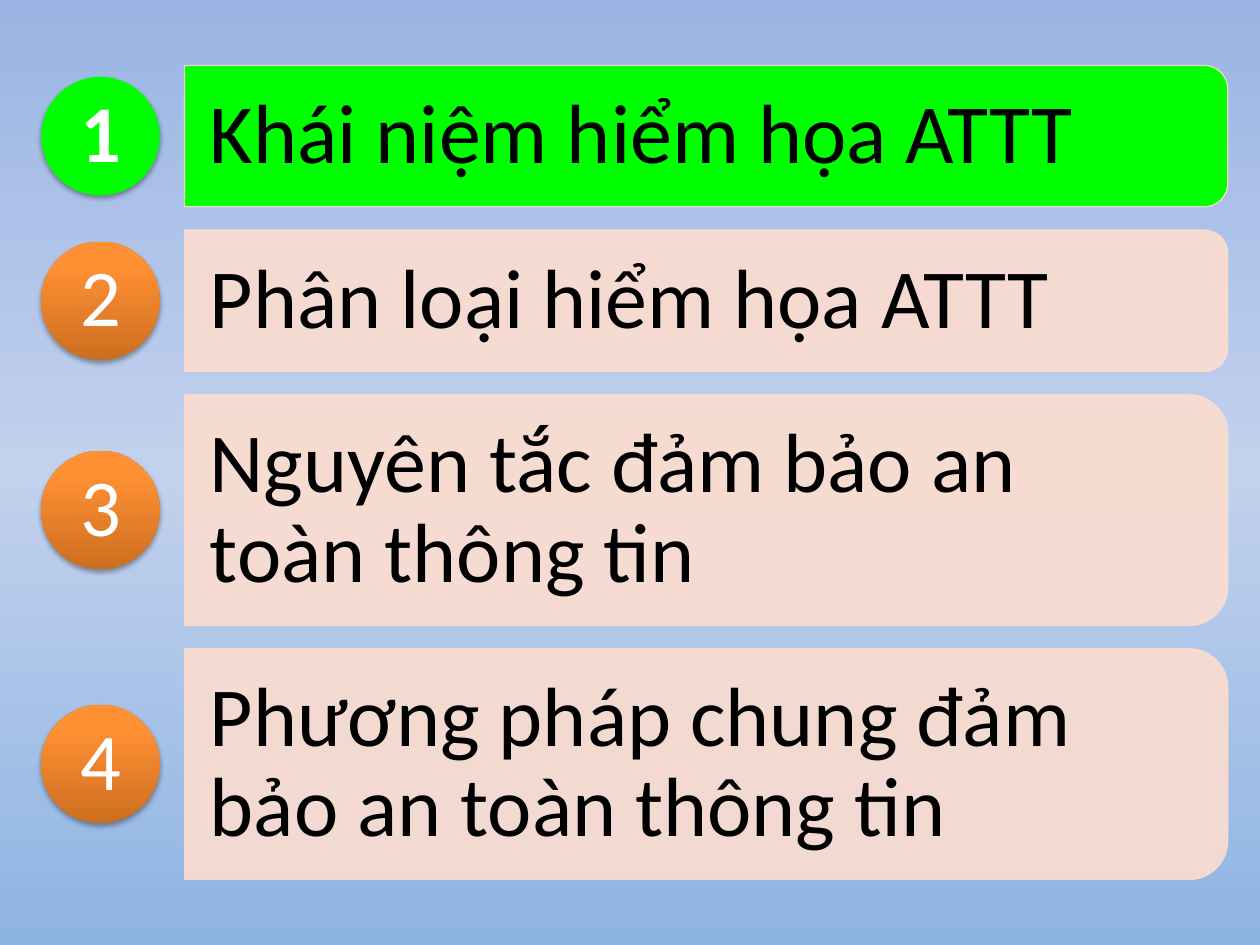
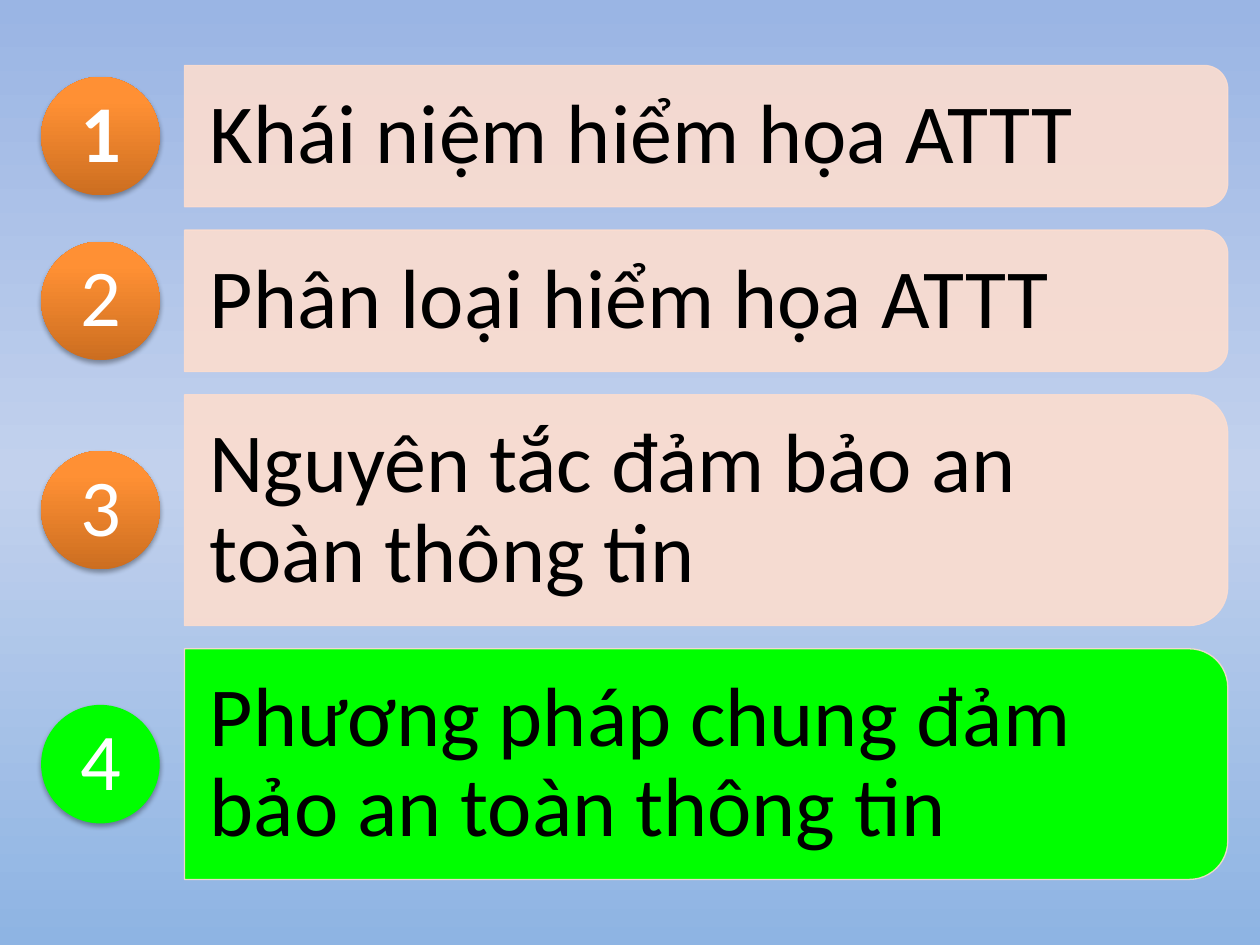
from lxml import etree
from pptx import Presentation
from pptx.dml.color import RGBColor
from pptx.enum.shapes import MSO_SHAPE
from pptx.enum.text import MSO_ANCHOR, PP_ALIGN
from pptx.oxml.ns import qn
from pptx.util import Cm, Pt

BAR_SHAPE, CIRCLE = MSO_SHAPE.ROUND_2_SAME_RECTANGLE, MSO_SHAPE.OVAL
MIDDLE = MSO_ANCHOR.MIDDLE
LEFT, CENTER = PP_ALIGN.LEFT, PP_ALIGN.CENTER


def rgb(hex_color):
    return RGBColor.from_string(hex_color)


def set_gradient(element, fill, stops, angle):
    """Fill with (percent, colour) stops; angle runs counter-clockwise."""
    fill.gradient()
    fill.gradient_angle = angle
    stop_list = next(element.iter(qn("a:gsLst")))
    for old_stop in list(stop_list):
        stop_list.remove(old_stop)
    for percent, color in stops:
        stop = etree.SubElement(stop_list, qn("a:gs"), pos=str(percent * 1000))
        etree.SubElement(stop, qn("a:srgbClr"), val=color)


# Shared look
FONT = "Calibri"
ACTIVE, BAR_COLOR = "00FF00", "FCDDCF"
BACKGROUND = [(0, "9AB5E4"), (50, "C2D1ED"), (100, "8EB4E3")]
ORANGE = [(0, "CC6E20"), (80, "FF9034"), (100, "FF9136")]

# Agenda entries with the height of their bars in cm
SHORT, TALL = 2.85, 4.65
AGENDA = [
    ("Khái niệm hiểm họa ATTT", SHORT),
    ("Phân loại hiểm họa ATTT", SHORT),
    ("Nguyên tắc đảm bảo an toàn thông tin", TALL),
    ("Phương pháp chung đảm bảo an toàn thông tin", TALL),
]
ACTIVE_ENTRIES = [1, 4]  # one slide for each

# Layout in cm
FIRST_TOP, GAP = 1.32, 0.47
BAR_LEFT, BAR_WIDTH = 3.72, 21.03
TITLE_WIDTH = 20.8
BADGE_LEFT, BADGE_SIZE = 0.83, 2.39
CORNER_INSET = 0.05  # share of the bar height

prs = Presentation()
prs.slide_width, prs.slide_height = Cm(25.4), Cm(19.05)
blank = prs.slide_layouts[6]
master = prs.slide_master
set_gradient(master.element, master.background.fill, BACKGROUND, 270)

for active_entry in ACTIVE_ENTRIES:
    slide = prs.slides.add_slide(blank)
    top = FIRST_TOP
    for number, (title, height) in enumerate(AGENDA, start=1):
        is_active = number == active_entry
        middle = top + height / 2

        # Bar, turned so that its rounded corners face right
        bar = slide.shapes.add_shape(
            BAR_SHAPE, Cm(BAR_LEFT + (BAR_WIDTH - height) / 2),
            Cm(middle - BAR_WIDTH / 2), Cm(height), Cm(BAR_WIDTH))
        bar.rotation = 90
        bar.shadow.inherit = False
        bar.fill.solid()
        bar.fill.fore_color.rgb = rgb(ACTIVE if is_active else BAR_COLOR)
        bar.line.color.rgb = rgb(BAR_COLOR)
        bar.line.width = Pt(0.75)
        fill_color, line_color = bar.element.spPr.iter(qn("a:srgbClr"))
        for color in [line_color] if is_active else [fill_color, line_color]:
            etree.SubElement(color, qn("a:alpha"), val="90000")

        # Entry title, upright over the bar
        inset = height * CORNER_INSET
        entry = slide.shapes.add_textbox(
            Cm(BAR_LEFT), Cm(top + inset), Cm(TITLE_WIDTH), Cm(height - 2 * inset))

        # Number badge
        badge = slide.shapes.add_shape(
            CIRCLE, Cm(BADGE_LEFT), Cm(middle - BADGE_SIZE / 2),
            Cm(BADGE_SIZE), Cm(BADGE_SIZE))
        badge.line.fill.background()
        if is_active:
            badge.fill.solid()
            badge.fill.fore_color.rgb = rgb(ACTIVE)
        else:
            set_gradient(badge.element, badge.fill, ORANGE, 90)
        badge.shadow.inherit = False
        shadow = etree.SubElement(
            badge.element.spPr.find(qn("a:effectLst")), qn("a:outerShdw"),
            blurRad=str(Pt(3.1)), dist=str(Pt(1.8)), dir="5400000", rotWithShape="0")
        shadow_color = etree.SubElement(shadow, qn("a:srgbClr"), val="000000")
        etree.SubElement(shadow_color, qn("a:alpha"), val="35000")

        # Text of the title and the badge
        for holder, text, size, color, align, side, edge in [
            (entry, title, 48, "000000", LEFT, 0.51, 0.33),
            (badge, str(number), 46, "FFFFFF", CENTER, 0, 0),
        ]:
            frame = holder.text_frame
            frame.word_wrap = True
            frame.vertical_anchor = MIDDLE
            frame.margin_left = frame.margin_right = Cm(side)
            frame.margin_top = frame.margin_bottom = Cm(edge)
            paragraph = frame.paragraphs[0]
            paragraph.text = text
            paragraph.alignment = align
            paragraph.line_spacing = 0.9
            paragraph.font.name = FONT
            paragraph.font.size = Pt(size)
            paragraph.font.color.rgb = rgb(color)
            paragraph.font.bold = text == "1"

        top += height + GAP

prs.save("out.pptx")
